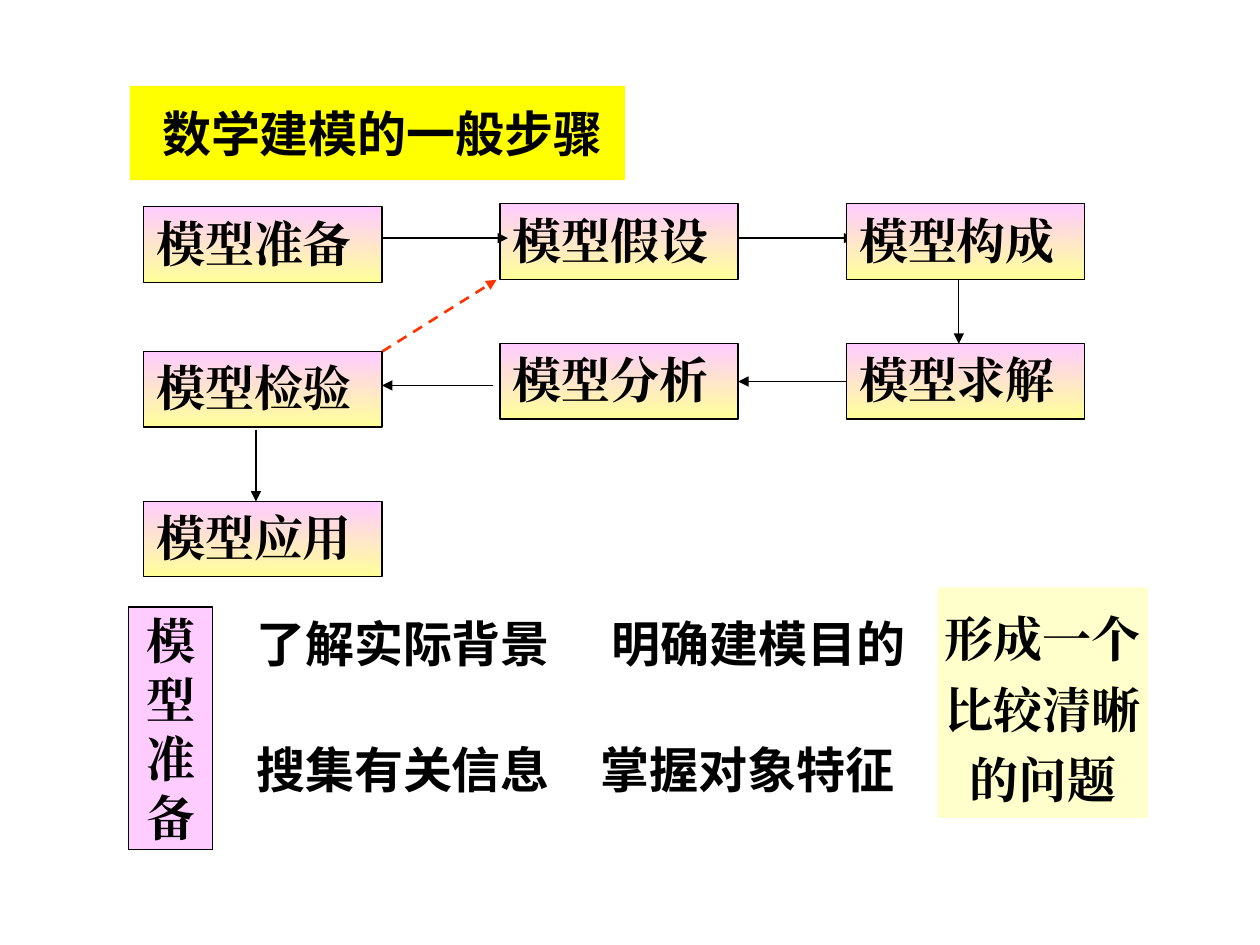
"""Build the slide on the general steps of mathematical modelling."""
from lxml import etree
from pptx import Presentation
from pptx import util as u
from pptx.dml.color import RGBColor
from pptx.enum import dml, shapes, text
from pptx.oxml import ns

SANS, SERIF = "Noto Sans CJK SC", "Times New Roman"
CENTER, JUSTIFY = text.PP_ALIGN.CENTER, text.PP_ALIGN.JUSTIFY
color = RGBColor.from_string


def write_text(shape, content, font, align=CENTER, spacing=None):
    frame = shape.text_frame
    frame.text = content
    frame.auto_size = text.MSO_AUTO_SIZE.NONE
    frame.word_wrap = align == JUSTIFY
    frame.vertical_anchor = text.MSO_ANCHOR.TOP if align == JUSTIFY else text.MSO_ANCHOR.MIDDLE
    for paragraph in frame.paragraphs:
        paragraph.alignment = align
        paragraph.line_spacing = spacing
        paragraph.font.size = u.Pt(28)
        paragraph.font.bold = True
        paragraph.font.name = font
        paragraph.font.color.rgb = color("000000")
        properties = paragraph._p.pPr.find(ns.qn("a:defRPr"))
        etree.SubElement(properties, ns.qn("a:ea"), typeface=font)


def add_arrow(x1, y1, x2, y2, line_color="000000", width=0.75):
    arrow = slide.shapes.add_connector(
        shapes.MSO_CONNECTOR.STRAIGHT, u.Cm(x1), u.Cm(y1), u.Cm(x2), u.Cm(y2))
    arrow.line.color.rgb = color(line_color)
    arrow.line.width = u.Pt(width)
    etree.SubElement(arrow.line._get_or_add_ln(), ns.qn("a:tailEnd"), type="triangle")
    etree.SubElement(arrow._element.spPr, ns.qn("a:effectLst"))
    return arrow


presentation = Presentation()
presentation.slide_width = u.Cm(25.4)
presentation.slide_height = u.Cm(19.05)
slide = presentation.slides.add_slide(presentation.slide_layouts[5])

title = slide.shapes.title
title.left, title.top, title.width, title.height = u.Cm(2.62), u.Cm(1.73), u.Cm(9.98), u.Cm(1.9)
title.fill.solid()
title.fill.fore_color.rgb = color("FFFF00")
write_text(title, "数学建模的一般步骤", SANS)
title.text_frame.margin_left = u.Cm(0.45)

add_arrow(14.88, 4.8, 17.22, 4.8)
add_arrow(19.33, 5.64, 19.33, 6.93)
solve_to_analyse = add_arrow(17.07, 7.77, 14.88, 7.77)
add_arrow(9.93, 7.77, 7.7, 7.77)
add_arrow(5.16, 8.66, 5.16, 10.11)
feedback = add_arrow(7.7, 7.09, 10.01, 5.64, "FF3300", 1.5)
feedback.line.dash_style = dml.MSO_LINE.DASH

steps = {}
for name, left, top in [
    ("模型准备", 2.9, 4.17),
    ("模型假设", 10.08, 4.11),
    ("模型构成", 17.07, 4.11),
    ("模型求解", 17.07, 6.93),
    ("模型分析", 10.08, 6.93),
    ("模型检验", 2.9, 7.09),
    ("模型应用", 2.9, 10.11),
]:
    step = slide.shapes.add_shape(
        shapes.MSO_SHAPE.RECTANGLE, u.Cm(left), u.Cm(top), u.Cm(4.8), u.Cm(1.52))
    step.shadow.inherit = False
    step.fill.gradient()
    step.fill.gradient_angle = 270
    for stop, stop_color in zip(step.fill.gradient_stops, ("FFCCFF", "FFFF99")):
        stop.color.rgb = color(stop_color)
    step.line.color.rgb = color("000000")
    step.line.width = u.Pt(0.75)
    write_text(step, name, SERIF, JUSTIFY)
    steps[name] = step

solve_to_analyse.begin_connect(steps["模型求解"], 1)
solve_to_analyse.end_connect(steps["模型分析"], 3)
add_arrow(7.7, 4.8, 10.24, 4.8)

for content, left, top, width, height, fill_color, spacing in [
    ("模\n型\n准\n备", 2.59, 12.24, 1.7, 4.88, "FFCCFF", None),
    ("形成一个\n比较清晰\n的问题", 18.9, 11.84, 4.24, 4.65, "FFFFCC", 1.2),
]:
    panel = slide.shapes.add_shape(
        shapes.MSO_SHAPE.RECTANGLE, u.Cm(left), u.Cm(top), u.Cm(width), u.Cm(height))
    panel.shadow.inherit = False
    panel.fill.solid()
    panel.fill.fore_color.rgb = color(fill_color)
    if fill_color == "FFCCFF":
        panel.line.color.rgb = color("000000")
        panel.line.width = u.Pt(0.75)
    else:
        panel.line.fill.background()
    write_text(panel, content, SERIF, spacing=spacing)

for content, left, top in [
    ("了解实际背景", 4.95, 12.12),
    ("明确建模目的", 12.12, 12.12),
    ("搜集有关信息", 4.95, 14.66),
    ("掌握对象特征", 11.89, 14.66),
]:
    task = slide.shapes.add_textbox(u.Cm(left), u.Cm(top), u.Cm(6.35), u.Cm(1.7))
    write_text(task, content, SANS)

presentation.save("out.pptx")
